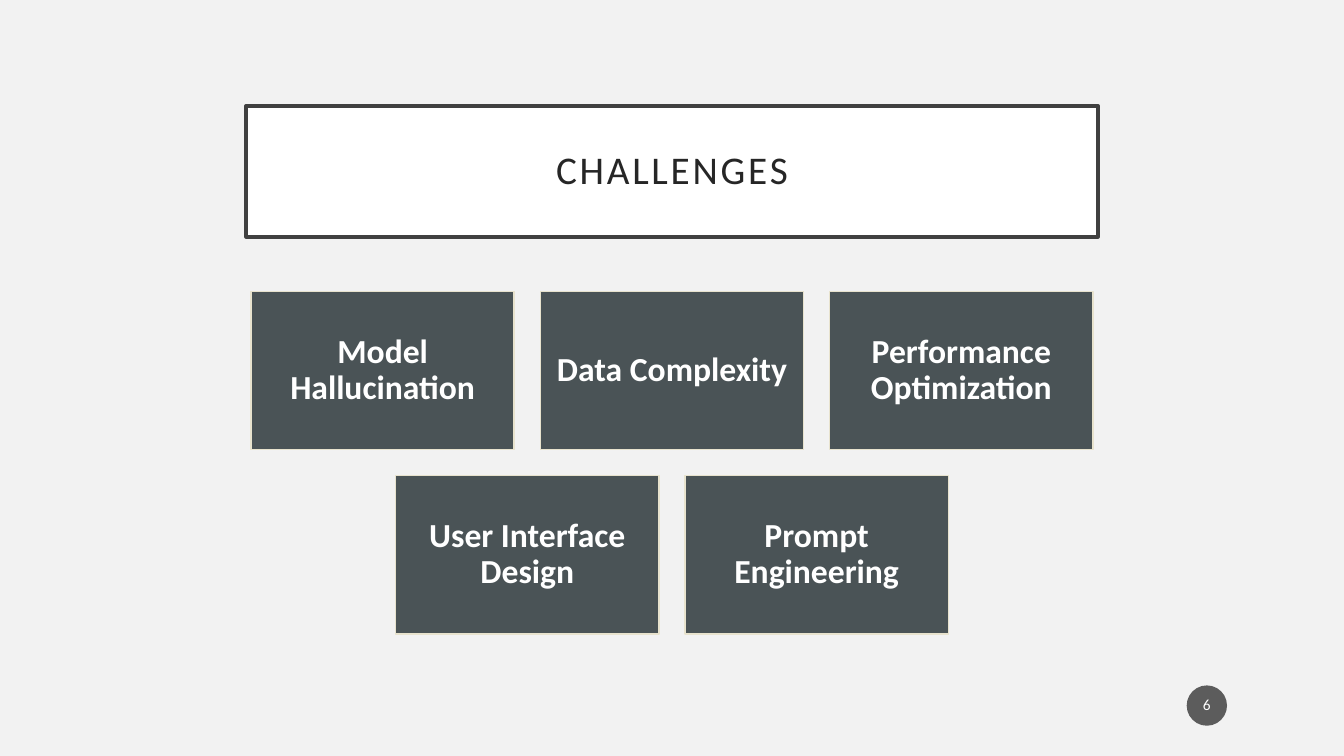
"""Build the Challenges slide: a framed title, five centred cards and a page badge."""
from lxml.etree import SubElement
from pptx import Presentation
from pptx.dml.color import RGBColor
from pptx.enum.shapes import MSO_SHAPE
from pptx.enum.text import MSO_ANCHOR, MSO_AUTO_SIZE, PP_ALIGN
from pptx.oxml.ns import qn
from pptx.util import Inches, Pt

PAPER = RGBColor(0xF2, 0xF2, 0xF2)
WHITE = RGBColor(0xFF, 0xFF, 0xFF)
FRAME = RGBColor(0x40, 0x40, 0x40)
INK = RGBColor(0x26, 0x26, 0x26)
BADGE = RGBColor(0x1D, 0x1D, 0x1D)
SLATE = RGBColor(0x4A, 0x53, 0x56)
CREAM = RGBColor(0xE8, 0xE3, 0xCE)


def paint(shape, fill, line=None, width=1):
    shape.fill.solid()
    shape.fill.fore_color.rgb = fill
    if line is None:
        shape.line.fill.background()
    else:
        shape.line.color.rgb = line
        shape.line.width = Pt(width)


def write(shape, text, size, color, side, edge, bold=False):
    frame = shape.text_frame
    frame.text = text
    layout = {
        "word_wrap": True,
        "auto_size": MSO_AUTO_SIZE.NONE,
        "vertical_anchor": MSO_ANCHOR.MIDDLE,
        "margin_left": Inches(side),
        "margin_right": Inches(side),
        "margin_top": Inches(edge),
        "margin_bottom": Inches(edge),
    }
    for name, value in layout.items():
        setattr(frame, name, value)
    para = frame.paragraphs[0]
    para.alignment = PP_ALIGN.CENTER
    para.line_spacing = 0.9
    run = para.runs[0]
    style = {"name": "Calibri", "size": Pt(size), "bold": bold}
    for name, value in style.items():
        setattr(run.font, name, value)
    run.font.color.rgb = color
    return run


deck = Presentation()
deck.slide_width = Inches(13.33)
deck.slide_height = Inches(7.5)
slide = deck.slides.add_slide(deck.slide_layouts[5])
slide.background.fill.solid()
slide.background.fill.fore_color.rgb = PAPER

title = slide.shapes.title
place = {"left": 2.44, "top": 1.05, "width": 8.45, "height": 1.3}
for name, value in place.items():
    setattr(title, name, Inches(value))
paint(title, WHITE, FRAME, 2.5)
run = write(title, "CHALLENGES", 28, INK, 0.2, 0.2)
run.font._element.set("spc", "200")

badge = slide.shapes.add_shape(
    MSO_SHAPE.OVAL, Inches(11.77), Inches(6.8), Inches(0.4), Inches(0.4))
badge.shadow.inherit = False
paint(badge, BADGE)
tint = badge._element.spPr.find(qn("a:solidFill"))[0]
SubElement(tint, qn("a:alpha"), val="70000")
write(badge, "6", 11, WHITE, 0.02, 0.05)

rows = [
    ["Model Hallucination", "Data Complexity", "Performance Optimization"],
    ["User Interface Design", "Prompt Engineering"],
]
wide, high, gap = 2.61, 1.57, 0.26
for i, row in enumerate(rows):
    span = len(row) * (wide + gap) - gap
    left = (13.33 - span) / 2
    top = 2.89 + i * (high + gap)
    for j, label in enumerate(row):
        card = slide.shapes.add_shape(
            MSO_SHAPE.RECTANGLE, Inches(left + j * (wide + gap)), Inches(top),
            Inches(wide), Inches(high))
        card.shadow.inherit = False
        paint(card, SLATE, CREAM)
        write(card, label, 24, WHITE, 0.1, 0.1, True)

deck.save("out.pptx")
